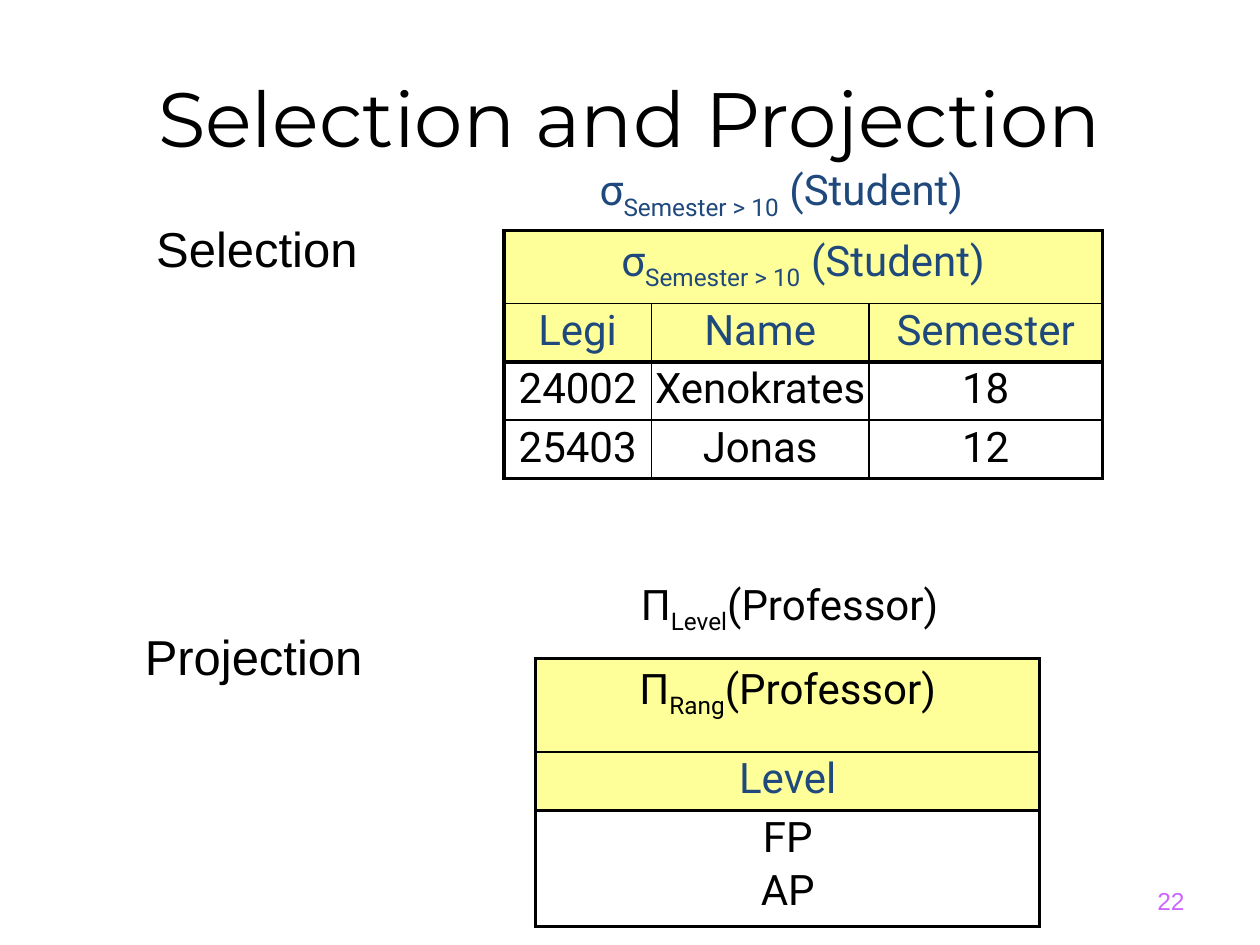
from dataclasses import dataclass

from lxml import etree
from pptx import Presentation
from pptx.dml.color import RGBColor
from pptx.enum.text import MSO_ANCHOR, MSO_AUTO_SIZE, PP_ALIGN
from pptx.oxml.ns import qn
from pptx.util import Cm, Pt

LEFT, CENTER, RIGHT = PP_ALIGN.LEFT, PP_ALIGN.CENTER, PP_ALIGN.RIGHT
TOP, MIDDLE = MSO_ANCHOR.TOP, MSO_ANCHOR.MIDDLE
FIT_SHAPE = MSO_AUTO_SIZE.SHAPE_TO_FIT_TEXT


@dataclass(frozen=True)
class Style:
    font: str
    size: float
    color: str


@dataclass(frozen=True)
class Theme:
    title: Style = Style("Montserrat", 44, "000000")
    label: Style = Style("Arial", 28, "000000")
    body: Style = Style("Roboto", 24, "000000")
    accent: Style = Style("Roboto", 24, "1F497D")
    number: Style = Style("Arial", 14, "CC66FF")
    header_fill: str = "FFFF99"
    border: str = "000000"
    thick: float = 2.25
    thin: float = 1


THEME = Theme()


def fill_paragraph(p, parts, style, align):
    p.alignment = align
    p.font.name = style.font
    p.font.size = Pt(style.size)
    p.font.color.rgb = RGBColor.from_string(style.color)
    for i, text in enumerate(parts):
        r = p.add_run()
        r.text = text
        if i == 1:
            r._r.get_or_add_rPr().set("baseline", "-25000")


def add_text(s, box, parts, style, align=LEFT, anchor=TOP, wrap=False):
    sp = s.shapes.add_textbox(*map(Cm, box))
    tf = sp.text_frame
    tf.word_wrap = wrap
    tf.vertical_anchor = anchor
    if not wrap:
        tf.auto_size = FIT_SHAPE
    fill_paragraph(tf.paragraphs[0], parts, style, align)


def set_borders(cell, widths):
    tcPr = cell._tc.get_or_add_tcPr()
    for i, (side, width) in enumerate(zip("LRTB", widths)):
        ln = etree.Element(qn("a:ln" + side), w=str(Pt(width)))
        fill = etree.SubElement(ln, qn("a:solidFill"))
        etree.SubElement(fill, qn("a:srgbClr"), val=THEME.border)
        tcPr.insert(i, ln)


def fill_cell(cell, paragraphs, style, is_header):
    cell.margin_left = cell.margin_right = 0
    cell.margin_top = cell.margin_bottom = Cm(0.13)
    if is_header:
        cell.fill.solid()
        cell.fill.fore_color.rgb = RGBColor.from_string(THEME.header_fill)
    else:
        cell.fill.background()
    tf = cell.text_frame
    for i, parts in enumerate(paragraphs):
        p = tf.add_paragraph() if i else tf.paragraphs[0]
        p.line_spacing = 0.9
        if i:
            p.space_before = Pt(style.size * 0.2)
        fill_paragraph(p, parts, style, CENTER)


def add_relation(s, left, top, widths, heights, rows, styles):
    n_rows, n_cols = len(heights), len(widths)
    frame = s.shapes.add_table(n_rows, n_cols, Cm(left), Cm(top),
                               Cm(sum(widths)), Cm(sum(heights)))
    table = frame.table
    table.first_row = table.horz_banding = False
    for column, width in zip(table.columns, widths):
        column.width = Cm(width)
    for row, height in zip(table.rows, heights):
        row.height = Cm(height)
    if n_cols > 1:
        table.cell(0, 0).merge(table.cell(0, n_cols - 1))

    def weight(is_thick):
        return THEME.thick if is_thick else THEME.thin

    for y, (row, style) in enumerate(zip(rows, styles)):
        for x in range(n_cols):
            cell = table.cell(y, x)
            last_x = x == n_cols - 1 or len(row) == 1
            set_borders(cell, (weight(x == 0), weight(last_x),
                               weight(y in (0, 2)),
                               weight(y in (1, n_rows - 1))))
            if x < len(row):
                fill_cell(cell, row[x], style, y < 2)


def plain(*texts):
    return [[(text,)] for text in texts]


def main():
    prs = Presentation()
    prs.slide_width, prs.slide_height = Cm(25.4), Cm(19.05)
    s = prs.slides.add_slide(prs.slide_layouts[6])
    body, accent = THEME.body, THEME.accent

    selection = ("σ", "Semester > 10", " (Student)")
    add_text(s, (1.27, 0.76, 22.86, 3.18), ("Selection and Projection",),
             THEME.title, CENTER, MIDDLE, wrap=True)
    add_relation(s, 10.16, 4.65, (2.97, 4.39, 4.7), (1.47, 1.17, 1.17, 1.17),
                 [[[selection]],
                  plain("Legi", "Name", "Semester"),
                  plain("24002", "Xenokrates", "18"),
                  plain("25403", "Jonas", "12")],
                 (accent, accent, body, body))
    add_text(s, (11.84, 3.18, 8.53, 1.27), selection, accent)
    add_text(s, (2.9, 4.29, 4.57, 1.45), ("Selection",), THEME.label)

    add_relation(s, 10.8, 13.28, (10.16,), (1.88, 1.17, 2.34),
                 [[[("Π", "Rang", "(Professor)")]],
                  plain("Level"),
                  [[("FP",), ("AP",)]]],
                 (body, accent, body))
    add_text(s, (12.67, 11.53, 6.55, 1.27),
             ("Π", "Level", "(Professor)"), body)
    add_text(s, (2.67, 12.5, 5.18, 1.45), ("Projection",), THEME.label)
    add_text(s, (18.21, 17.65, 5.92, 1.02), ("22",), THEME.number,
             RIGHT, MIDDLE, wrap=True)
    prs.save("out.pptx")


if __name__ == "__main__":
    main()
